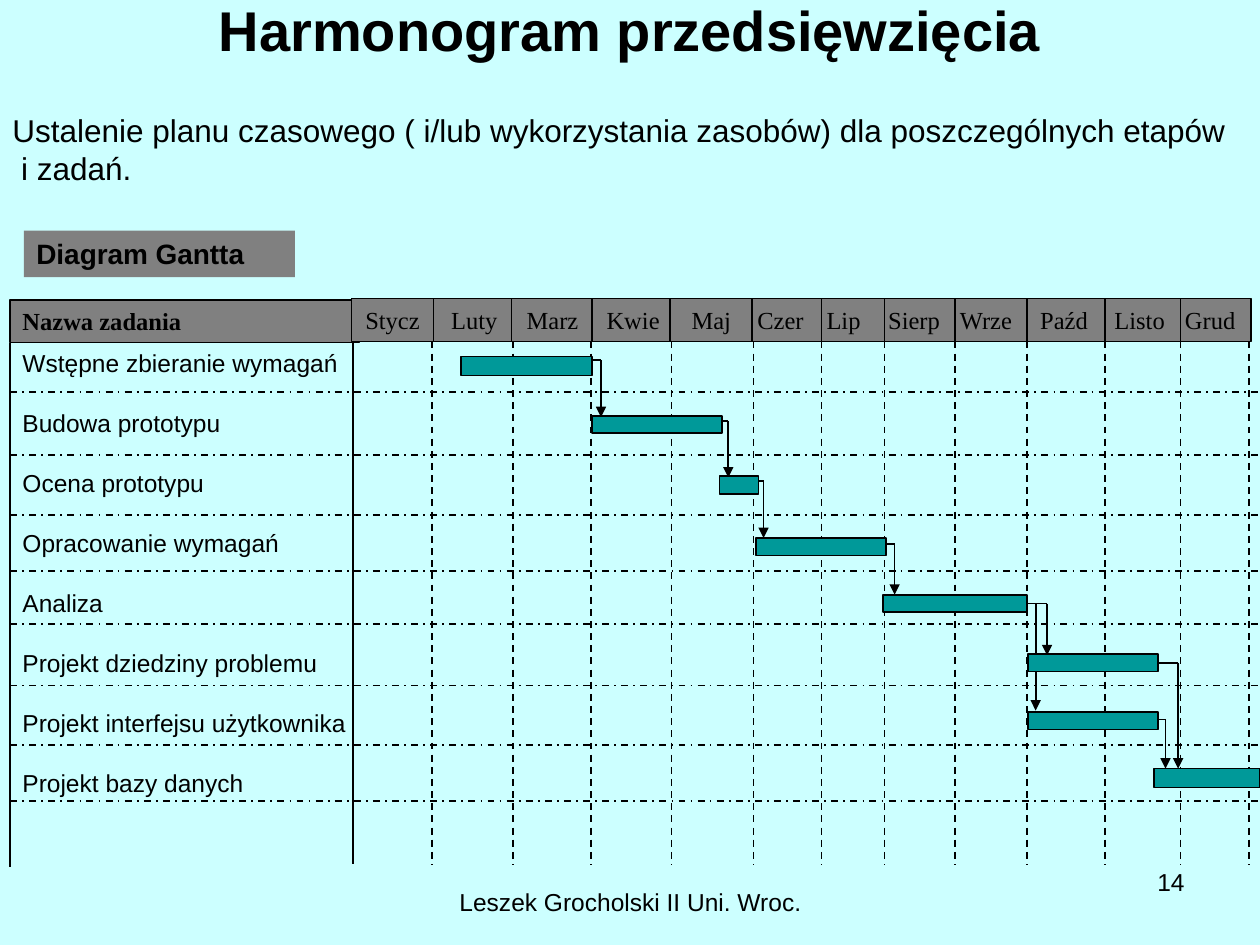
import dataclasses
import pptx
import pptx.dml.color
import pptx.enum.dml
import pptx.enum.shapes
import pptx.enum.text
import pptx.util
from pptx.oxml import parse_xml
from pptx.oxml.ns import nsdecls

Inches, Pt = pptx.util.Inches, pptx.util.Pt
Align = pptx.enum.text.PP_ALIGN
Anchor = pptx.enum.text.MSO_ANCHOR
Dash = pptx.enum.dml.MSO_LINE
BLACK, GREY, TEAL, SKY = "000000", "808080", "009999", "CCFFFF"
SERIF = "Times New Roman"
WIDTH = 0.99


@dataclasses.dataclass
class Box:
    x: float
    y: float
    w: float
    h: float


@dataclasses.dataclass
class Link:
    """Elbow from the end of one task down to the start of another."""
    x: float
    y: float
    end: float
    w: float = 0.23


@dataclasses.dataclass
class Style:
    size: float = 14
    bold: bool = False
    font: str = "Arial"
    align: Align = Align.LEFT
    anchor: Anchor = Anchor.TOP
    after: float = 0


deck = pptx.Presentation()
deck.slide_width, deck.slide_height = Inches(10), Inches(7.5)
slide = deck.slides.add_slide(deck.slide_layouts[6])


def color(code: str) -> pptx.dml.color.RGBColor:
    return pptx.dml.color.RGBColor.from_string(code)


def paint(item, code: str) -> None:
    item.fill.solid()
    item.fill.fore_color.rgb = color(code)


def write(shape, lines: list[str], style: Style) -> None:
    frame = shape.text_frame
    frame.word_wrap = True
    frame.vertical_anchor = style.anchor
    frame.text = "\n".join(lines)
    for para in frame.paragraphs:
        para.alignment = style.align
        para.space_after = Pt(style.after)
        para.font.size = Pt(style.size)
        para.font.bold = style.bold
        para.font.name = style.font
        para.font.color.rgb = color(BLACK)


def text(box: Box, lines: list[str], style: Style) -> None:
    area = [Inches(v) for v in dataclasses.astuple(box)]
    write(slide.shapes.add_textbox(*area), lines, style)


def rect(box: Box, fill: str, edge: bool = True):
    area = [Inches(v) for v in dataclasses.astuple(box)]
    shape = slide.shapes.add_shape(pptx.enum.shapes.MSO_SHAPE.RECTANGLE, *area)
    shape.shadow.inherit = False
    paint(shape, fill)
    if edge:
        shape.line.color.rgb = color(BLACK)
        shape.line.width = Pt(WIDTH)
    else:
        shape.line.fill.background()
    return shape


def line(x1: float, y1: float, x2: float, y2: float,
         dash: Dash | None = None, arrow: bool = False) -> None:
    ends = [Inches(v) for v in (x1, y1, x2, y2)]
    rule = slide.shapes.add_connector(
        pptx.enum.shapes.MSO_CONNECTOR.STRAIGHT, *ends)
    rule.line.color.rgb = color(BLACK)
    rule.line.width = Pt(WIDTH)
    rule.line.dash_style = dash
    props = rule._element.spPr
    if arrow:
        props.find(pptx.oxml.ns.qn("a:ln")).append(
            parse_xml(f'<a:tailEnd {nsdecls("a")} type="triangle"/>'))
    props.append(parse_xml(f'<a:effectLst {nsdecls("a")}/>'))


paint(slide.background, SKY)

# Footer
text(Box(3.42, 6.99, 3.17, 0.36), ["Leszek Grocholski II Uni. Wroc."],
     Style(align=Align.CENTER))
text(Box(7.17, 6.83, 2.33, 0.52), ["14"], Style(align=Align.RIGHT))

# Links between tasks, behind the bars
LINKS = [Link(4.53, 2.86, 3.31, 0.24), Link(5.55, 3.34, 3.79),
         Link(5.83, 3.82, 4.27), Link(6.87, 4.32, 4.72),
         Link(7.99, 4.79, 5.64), Link(8.07, 4.79, 5.2, 0.24),
         Link(9.11, 5.26, 6.1, 0.24), Link(9.02, 5.71, 6.1)]
for link in LINKS:
    turn = link.x + link.w
    line(link.x, link.y, turn, link.y)
    line(turn, link.y, turn, link.end, arrow=True)

# Title and introduction
text(Box(0.5, 0, 9, 0.47), ["Harmonogram przedsięwzięcia"],
     Style(32, True, align=Align.CENTER, anchor=Anchor.MIDDLE))
text(Box(0, 0.83, 9.93, 0.7),
     ["Ustalenie planu czasowego ( i/lub wykorzystania zasobów) "
      "dla poszczególnych etapów", " i zadań. "], Style(18))
write(rect(Box(0.19, 1.83, 2.15, 0.37), GREY, False), ["Diagram Gantta"],
      Style(16, True))

# Header: the early months overlap the later ones
write(rect(Box(0.08, 2.38, 2.77, 0.34), GREY), ["Nazwa zadania"],
      Style(bold=True, font=SERIF))
MONTHS = [("Stycz", 2.79), ("Luty", 3.44), ("Marz", 4.06), ("Kwie", 4.7),
          ("Maj", 5.32), ("Czer", 5.87), ("Lip", 6.37), ("Sierp", 6.93),
          ("Wrze", 7.5), ("Paźd", 8.12), ("Listo", 8.72), ("Grud", 9.28)]
for month, x in MONTHS[:4:-1] + MONTHS[:5]:
    write(rect(Box(x, 2.37, 0.65, 0.34), GREY), [month],
          Style(font=SERIF, align=Align.CENTER))

# Task names
TASKS = ["Wstępne zbieranie wymagań", "Budowa prototypu", "Ocena prototypu",
         "Opracowanie wymagań", "Analiza", "Projekt dziedziny problemu",
         "Projekt interfejsu użytkownika", "Projekt bazy danych"]
text(Box(0.08, 2.71, 2.77, 3.6), TASKS, Style(after=17.5))

# Grid
line(0.08, 2.72, 0.08, 6.88)
line(2.8, 2.71, 2.8, 6.86)
for x in (3.43, 4.07, 4.69, 5.33, 5.98, 6.52, 7.02, 7.58, 8.15, 8.77, 9.37,
          9.91):
    line(x, 2.71, x, 6.86, Dash.DASH)
for y in (3.11, 3.61, 4.09, 4.53, 4.95, 5.44, 5.91, 6.36):
    line(0.08, y, 10, y, Dash.DASH_DOT)

# Task bars
BARS = [Box(3.66, 2.83, 1.04, 0.15), Box(4.7, 3.3, 1.03, 0.14),
        Box(5.71, 3.78, 0.31, 0.14), Box(6, 4.27, 1.03, 0.14),
        Box(7.01, 4.72, 1.14, 0.14), Box(8.16, 5.19, 1.03, 0.14),
        Box(8.16, 5.65, 1.03, 0.14), Box(9.16, 6.1, 0.84, 0.15)]
for bar in BARS:
    rect(bar, TEAL)

deck.save("out.pptx")
